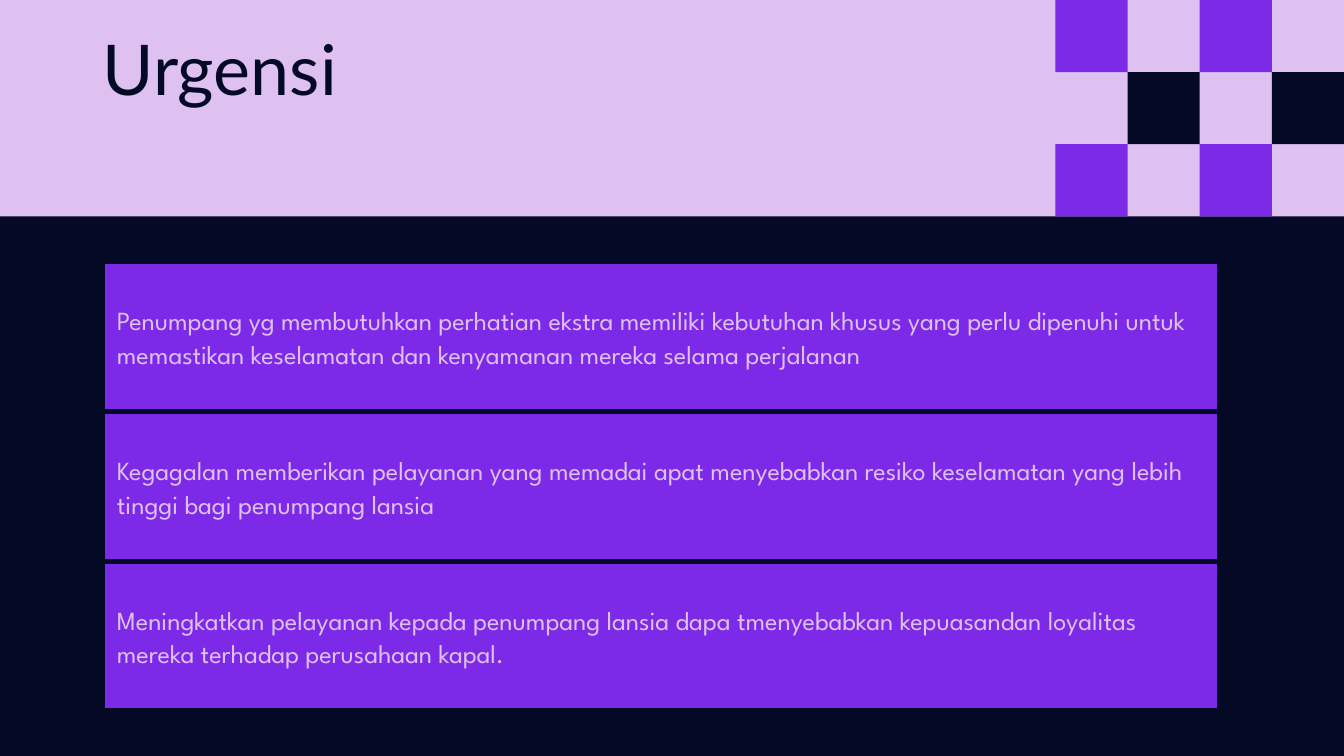
"""Build the "Urgensi" slide with a checkered header and a table of reasons."""
from lxml.etree import SubElement
from pptx import Presentation
from pptx.dml.color import RGBColor
from pptx.enum.shapes import MSO_SHAPE
from pptx.enum.text import MSO_ANCHOR, MSO_AUTO_SIZE
from pptx.oxml.ns import qn
from pptx.util import Inches, Pt

NAVY, PURPLE, LILAC = "040926", "7D2AE8", "DEC0F1"
HEADER_HEIGHT = 3.22
SQUARE = HEADER_HEIGHT / 3


def paint(fill, color):
    fill.solid()
    fill.fore_color.rgb = RGBColor.from_string(color)


def add_block(slide, left, top, width, height, color):
    block = slide.shapes.add_shape(
        MSO_SHAPE.RECTANGLE, Inches(left), Inches(top), Inches(width), Inches(height)
    )
    block.shadow.inherit = False
    block.line.fill.background()
    paint(block.fill, color)


presentation = Presentation()
presentation.slide_width = Inches(20)
presentation.slide_height = Inches(11.25)
slide = presentation.slides.add_slide(presentation.slide_layouts[6])
paint(slide.background.fill, LILAC)

add_block(slide, 0, HEADER_HEIGHT, 20, 11.25 - HEADER_HEIGHT, NAVY)

reasons = [
    "Penumpang yg membutuhkan perhatian ekstra memiliki kebutuhan khusus yang perlu "
    "dipenuhi untuk memastikan keselamatan dan kenyamanan mereka selama perjalanan",
    "Kegagalan memberikan pelayanan yang memadai apat menyebabkan resiko keselamatan "
    "yang lebih tinggi bagi penumpang lansia",
    "Meningkatkan pelayanan kepada penumpang lansia dapa tmenyebabkan kepuasandan "
    "loyalitas mereka terhadap perusahaan kapal.",
]
reason_table = slide.shapes.add_table(
    len(reasons), 1, Inches(1.53), Inches(3.89), Inches(16.61), Inches(6.69)
).table
reason_table.first_row = False
reason_table.horz_banding = False

for row, reason in enumerate(reasons):
    cell = reason_table.cell(row, 0)
    cell.text = reason
    cell.vertical_anchor = MSO_ANCHOR.MIDDLE
    cell.margin_left = cell.margin_right = Inches(0.21)
    cell.margin_top = cell.margin_bottom = Inches(0.21)
    paragraph = cell.text_frame.paragraphs[0]
    paragraph.line_spacing = 1.4
    paragraph.font.size = Pt(28)
    paragraph.font.name = "League Spartan"
    paint(paragraph.font.fill, LILAC)
    cell_properties = cell._tc.get_or_add_tcPr()
    for side in ("a:lnL", "a:lnR", "a:lnT", "a:lnB"):
        border = SubElement(cell_properties, qn(side), w=str(Pt(6)))
        border_fill = SubElement(border, qn("a:solidFill"))
        SubElement(border_fill, qn("a:srgbClr"), val=NAVY)
    paint(cell.fill, PURPLE)

title = slide.shapes.add_textbox(
    Inches(1.53), Inches(0.38), Inches(13.76), Inches(1.26)
).text_frame
title.word_wrap = True
title.auto_size = MSO_AUTO_SIZE.SHAPE_TO_FIT_TEXT
title.margin_left = title.margin_right = title.margin_top = title.margin_bottom = 0
title.text = "Urgensi"
heading = title.paragraphs[0]
heading.font.size = Pt(75)
heading.font.name = "Lato"
paint(heading.font.fill, NAVY)

for row, color in enumerate((PURPLE, NAVY, PURPLE)):
    for column in range(row % 2, 4, 2):
        left = 20 - (4 - column) * SQUARE
        add_block(slide, left, row * SQUARE, SQUARE, SQUARE, color)

presentation.save("out.pptx")
